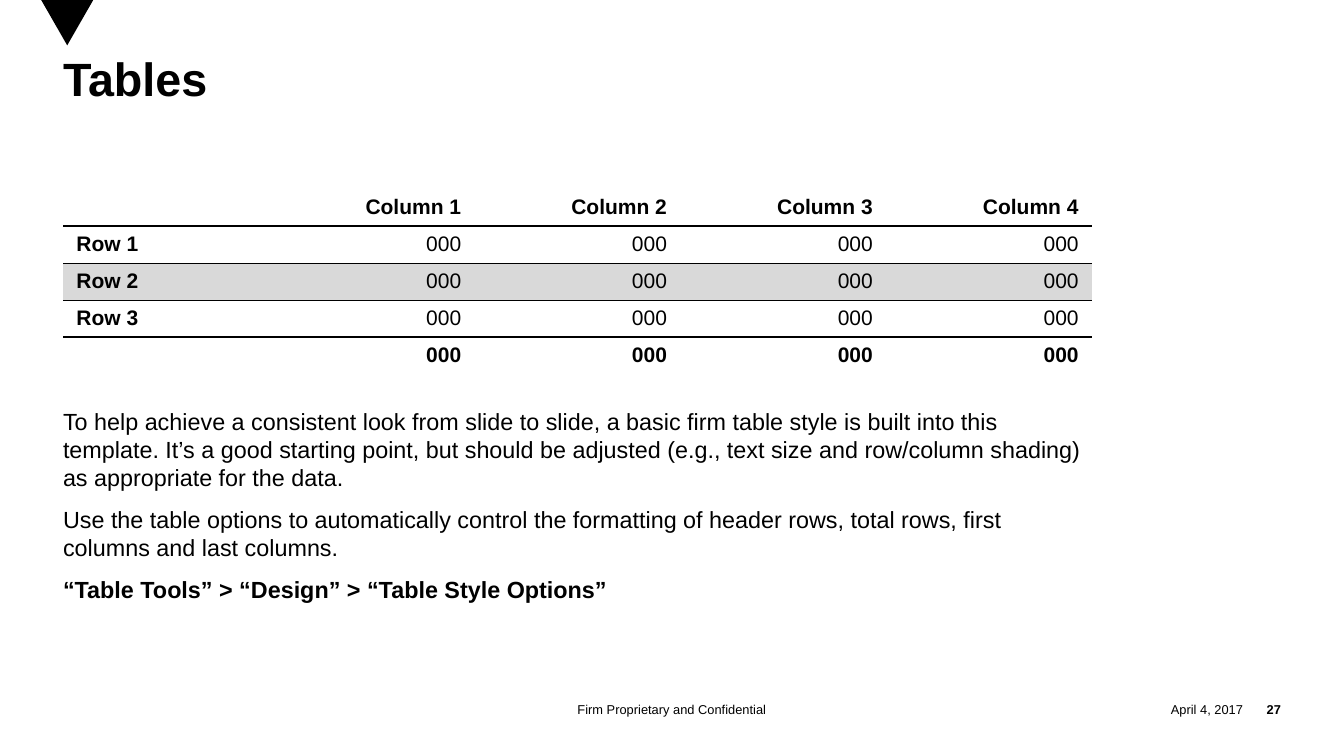
from lxml.etree import SubElement
from pptx import Presentation
from pptx.dml.color import RGBColor
from pptx.enum.shapes import MSO_SHAPE as Shape
from pptx.enum.text import MSO_ANCHOR as Anchor, PP_ALIGN as Align
from pptx.oxml.ns import qn
from pptx.util import Inches, Pt

BLACK = RGBColor(0, 0, 0)
GRAY = RGBColor(0xD9, 0xD9, 0xD9)
FONT = "Arial"
HEAD = ["", "Column 1", "Column 2", "Column 3", "Column 4"]
ROWS = [HEAD] + [[name] + ["000"] * 4 for name in ("Row 1", "Row 2", "Row 3", "")]
RULES = [0, 1.5, 0.5, 0.5, 1.5, 0]
BODY = [
    "To help achieve a consistent look from slide to slide, a basic firm table style is built into "
    "this template. It’s a good starting point, but should be adjusted (e.g., text size and "
    "row/column shading) as appropriate for the data.",
    "Use the table options to automatically control the formatting of header rows, total rows, "
    "first columns and last columns.",
    "“Table Tools” > “Design” > “Table Style Options”",
]


def write(par, text, size, bold=False, align=Align.LEFT, before=0, line=None):
    par.alignment = align
    par.space_before = Pt(before)
    if line:
        par.line_spacing = line
    par.font.size = Pt(size)
    par.font.name = FONT
    par.font.bold = bold
    par.font.color.rgb = BLACK
    if text:
        run = par.add_run()
        run.text = text
        run.font.size = Pt(size)
        run.font.name = FONT
        run.font.bold = bold
        run.font.color.rgb = BLACK


def frame(shape, anchor=Anchor.TOP):
    body = shape.text_frame
    body.word_wrap = True
    body.vertical_anchor = anchor
    body.margin_left = body.margin_right = body.margin_top = body.margin_bottom = 0
    return body


def add_box(slide, left, top, width, height, anchor=Anchor.TOP):
    box = slide.shapes.add_textbox(Inches(left), Inches(top), Inches(width), Inches(height))
    return frame(box, anchor)


def add_mark(slide, left, top, width, height):
    mark = slide.shapes.add_shape(
        Shape.FLOWCHART_MERGE, Inches(left), Inches(top), Inches(width), Inches(height))
    mark.shadow.inherit = False
    mark.fill.solid()
    mark.fill.fore_color.rgb = BLACK
    mark.line.fill.background()


def add_title(slide, left, top, width, height):
    title = slide.shapes.title
    title.left, title.top = Inches(left), Inches(top)
    title.width, title.height = Inches(width), Inches(height)
    write(frame(title).paragraphs[0], "Tables", 40, bold=True, line=0.85)


def set_edge(cell, side, width):
    props = cell._tc.get_or_add_tcPr()
    edge = SubElement(props, qn("a:ln" + side), w=str(Pt(width)))
    if width:
        fill = SubElement(edge, qn("a:solidFill"))
        SubElement(fill, qn("a:srgbClr"), val=str(BLACK))
    else:
        SubElement(edge, qn("a:noFill"))


def add_grid(slide, left, top, width, height):
    table = slide.shapes.add_table(
        len(ROWS), len(HEAD), Inches(left), Inches(top), Inches(width), Inches(height)).table
    table.first_row = table.horz_banding = False
    for row, texts in enumerate(ROWS):
        for col, text in enumerate(texts):
            cell = table.cell(row, col)
            cell.margin_left = cell.margin_right = Inches(0.16)
            cell.margin_top = cell.margin_bottom = Inches(0.08)
            for side, rule in zip("LRTB", (0, 0, RULES[row], RULES[row + 1])):
                set_edge(cell, side, rule)
            if row == 2:
                cell.fill.solid()
                cell.fill.fore_color.rgb = GRAY
            else:
                cell.fill.background()
            write(cell.text_frame.paragraphs[0], text, 18,
                  bold=col == 0 or row in (0, len(ROWS) - 1),
                  align=Align.RIGHT if col else Align.LEFT)


def add_body(slide, left, top, width, height):
    body = add_box(slide, left, top, width, height)
    for i, text in enumerate(BODY):
        par = body.add_paragraph() if i else body.paragraphs[0]
        write(par, text, 20, bold=i == len(BODY) - 1, before=12 if i else 0)


def add_foot(slide, left, top, width, height):
    for shift, span, text, align, bold in (
        (0, 5.5, "Firm Proprietary and Confidential", Align.CENTER, False),
        (width - 2.24, 1.79, "April 4, 2017", Align.RIGHT, False),
        (width - 0.45, 0.45, "27", Align.RIGHT, True),
    ):
        box = add_box(slide, left + shift, top, span, height, Anchor.MIDDLE)
        write(box.paragraphs[0], text, 11, bold=bold, align=align)


def main():
    deck = Presentation()
    deck.slide_width, deck.slide_height = Inches(16), Inches(9)
    slide = deck.slides.add_slide(deck.slide_layouts[5])
    add_mark(slide, 0.49, 0, 0.62, 0.54)
    add_title(slide, 0.75, 0.7, 14.5, 1.55)
    add_grid(slide, 0.75, 2.25, 12.25, 2.2)
    add_body(slide, 0.75, 4.85, 12.25, 3)
    add_foot(slide, 5.25, 8.29, 10, 0.3)
    deck.save("out.pptx")


if __name__ == "__main__":
    main()
